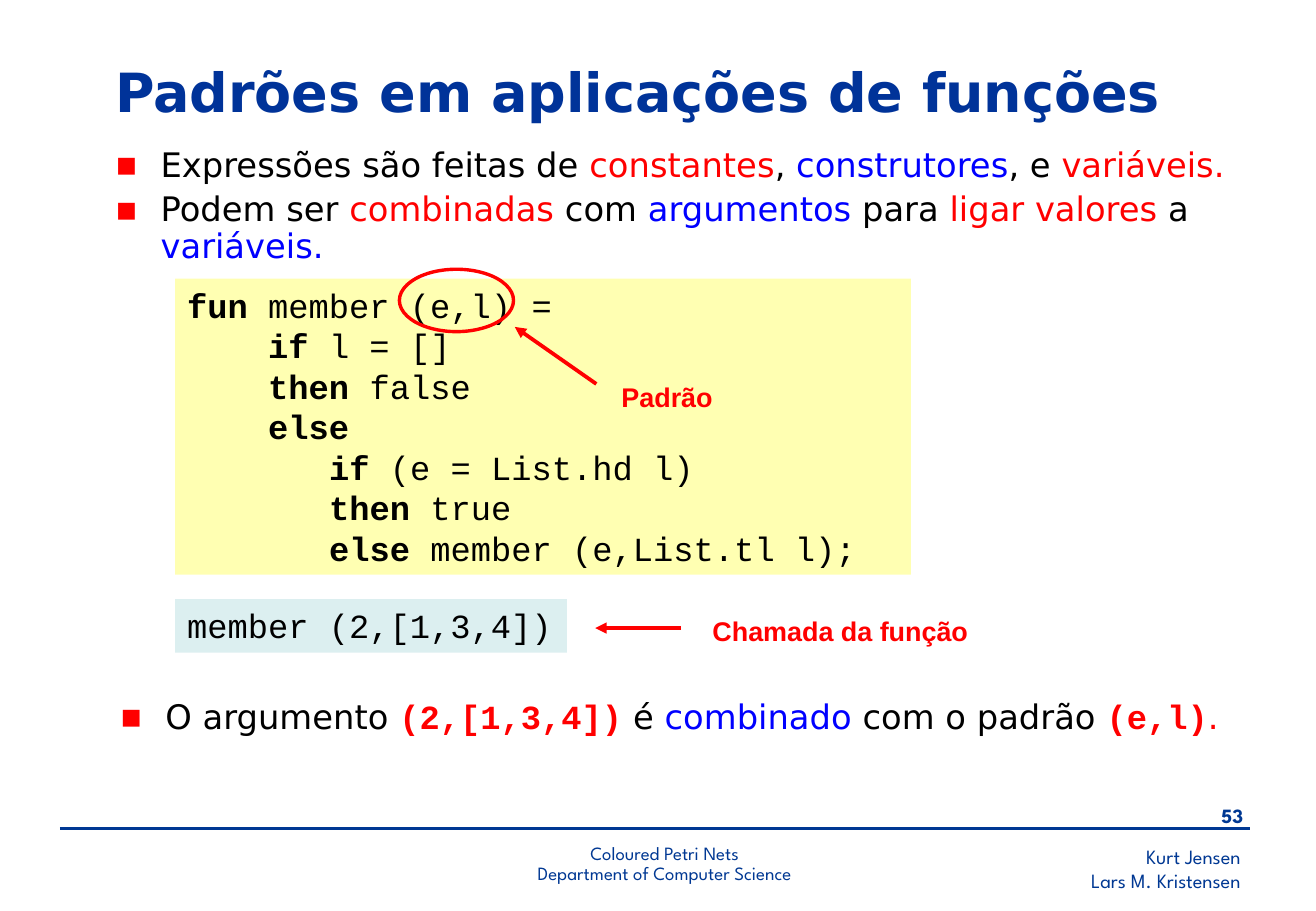
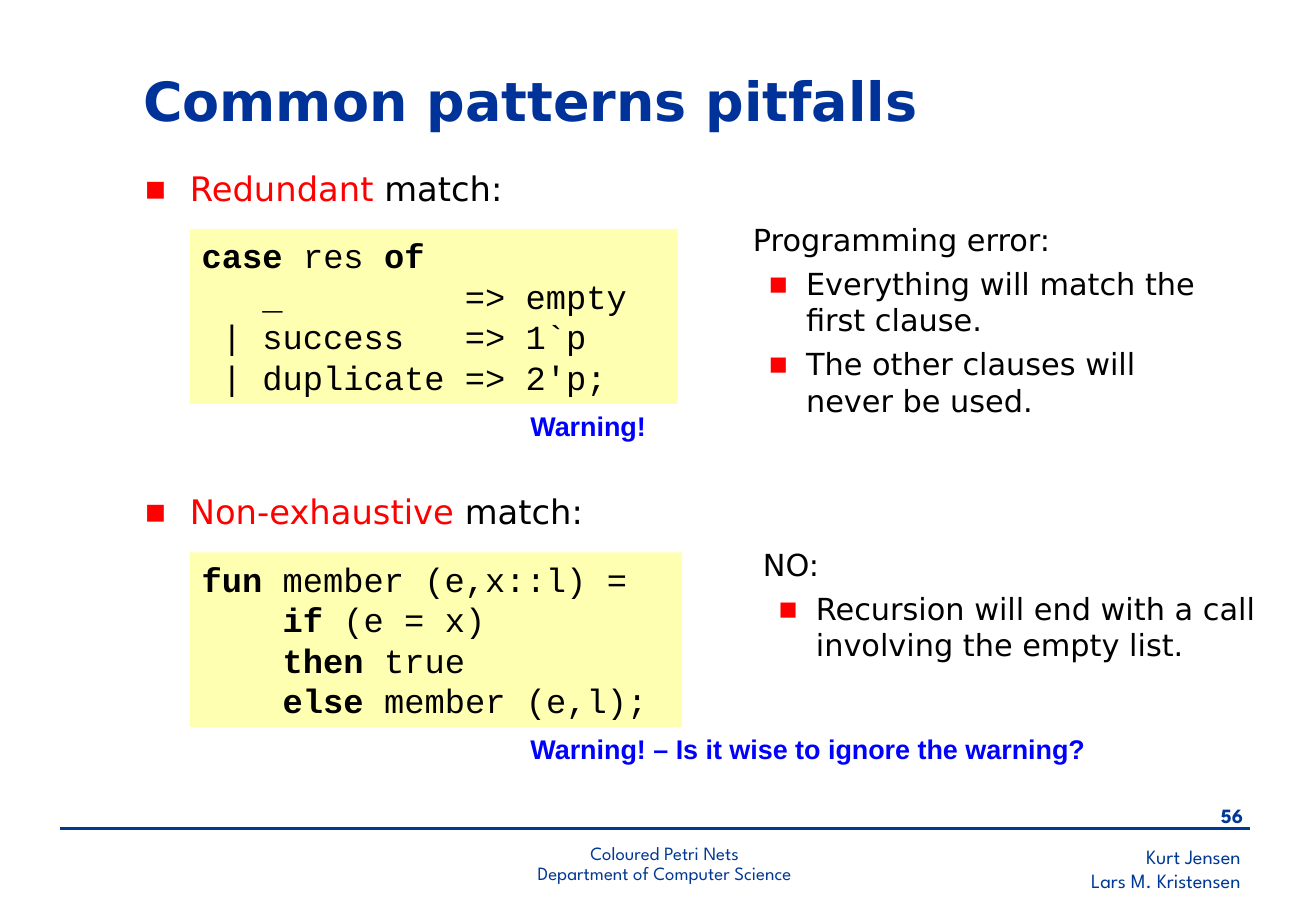
from dataclasses import dataclass

from lxml.etree import SubElement
from pptx import Presentation
from pptx.dml.color import RGBColor
from pptx.enum.shapes import MSO_CONNECTOR, MSO_SHAPE
from pptx.enum.text import MSO_ANCHOR, PP_ALIGN
from pptx.oxml.ns import qn
from pptx.util import Pt


@dataclass(frozen=True)
class Theme:
    # Colours
    title: str = "003399"
    footer: str = "003893"
    text: str = "000000"
    red: str = "FF0000"
    blue: str = "0000FF"
    code_fill: str = "FFFF66"
    call_fill: str = "BBE0E3"
    # Fonts
    sans: str = "DejaVu Sans"
    mono: str = "Courier New"
    label: str = "Arial"
    foot: str = "League Spartan"
    # Type sizes
    title_size: float = 32
    body_size: float = 20
    note_size: float = 18
    label_size: float = 16
    footer_size: float = 12
    centre_size: float = 11.1


THEME = Theme()


class SlideBuilder:
    """Holds the style and the page being drawn; lengths are in points."""

    def __init__(self, deck, theme):
        self.deck = deck
        self.theme = theme
        self.page = None

    def new_page(self, number):
        self.page = self.deck.slides.add_slide(self.deck.slide_layouts[6])
        theme = self.theme
        self.footer(500.4, 496.8, 242.6, ["Kurt Jensen", "Lars M. Kristensen"],
                    PP_ALIGN.RIGHT)
        self.footer(693.4, 472.3, 51, [number], PP_ALIGN.RIGHT, bold=True)
        self.line((35.5, 491), (741.6, 491), theme.footer, 1.5)
        self.footer(245.5, 496.8, 297.4,
                    ["Coloured Petri Nets", "Department of Computer Science"],
                    PP_ALIGN.CENTER, theme.centre_size, spacing=0.9)

    # Text
    def frame(self, left, top, width, height):
        box = self.page.shapes.add_textbox(Pt(left), Pt(top), Pt(width), Pt(height))
        box.text_frame.word_wrap = True
        return box.text_frame

    def style(self, span, font, size, colour, bold=False):
        span.font.name = font
        span.font.size = Pt(size)
        span.font.bold = bold
        span.font.color.rgb = RGBColor.from_string(colour)

    def next_para(self, frame, index):
        return frame.add_paragraph() if index else frame.paragraphs[0]

    def footer(self, left, top, width, lines, align, size=None, bold=False, spacing=None):
        frame = self.frame(left, top, width, 34)
        frame.text = "\n".join(lines)
        for para in frame.paragraphs:
            para.alignment = align
            para.line_spacing = spacing
            self.style(para.runs[0], self.theme.foot, size or self.theme.footer_size,
                       self.theme.footer, bold)

    def title(self, text, left, top, width):
        frame = self.frame(left, top, width, 49.7)
        frame.vertical_anchor = MSO_ANCHOR.MIDDLE
        frame.text = text
        self.style(frame.paragraphs[0].runs[0], self.theme.sans, self.theme.title_size,
                   self.theme.title, True)

    def label(self, text, left, top, width, colour):
        frame = self.frame(left, top, width, 26.6)
        frame.text = text
        self.style(frame.paragraphs[0].runs[0], self.theme.label, self.theme.label_size,
                   colour, True)

    def indent(self, para, margin, hanging):
        properties = para._p.get_or_add_pPr()
        properties.set("marL", str(Pt(margin)))
        properties.set("indent", str(-Pt(hanging)))
        return properties

    def bullet(self, para, margin, hanging):
        properties = self.indent(para, margin, hanging)
        colour = SubElement(properties, qn("a:buClr"))
        SubElement(colour, qn("a:srgbClr"), val=self.theme.red)
        SubElement(properties, qn("a:buFont"), typeface=self.theme.sans)
        SubElement(properties, qn("a:buChar"), char="▪")

    def bullets(self, left, top, width, height, items, spacing=None):
        """Each item is a list of (text, colour) or (text, colour, "code")."""
        theme = self.theme
        frame = self.frame(left, top, width, height)
        for index, item in enumerate(items):
            para = self.next_para(frame, index)
            self.bullet(para, 27, 27)
            para.line_spacing = spacing
            para.space_before = Pt(5 if index else 0)
            for text, colour, *kind in item:
                span = para.add_run()
                span.text = text
                self.style(span, theme.mono if kind else theme.sans, theme.body_size,
                           colour, bool(kind))

    def remark(self, left, top, width, height, heading, points):
        frame = self.frame(left, top, width, height)
        frame.text = "\n".join([heading, *points])
        for index, para in enumerate(frame.paragraphs):
            if index:
                para.level = 1
                self.bullet(para, 58.5, 22.5)
                para.space_before = Pt(4.5)
            else:
                self.indent(para, 27, 0)
            self.style(para.runs[0], self.theme.sans, self.theme.note_size, self.theme.text)

    # Shapes
    def code(self, left, top, width, height, lines, fill):
        """Words between asterisks are set in bold."""
        box = self.page.shapes.add_shape(MSO_SHAPE.RECTANGLE, Pt(left), Pt(top),
                                         Pt(width), Pt(height))
        box.shadow.inherit = False
        box.line.fill.background()
        box.fill.solid()
        box.fill.fore_color.rgb = RGBColor.from_string(fill)
        colour = box._element.spPr.find(qn("a:solidFill")).find(qn("a:srgbClr"))
        SubElement(colour, qn("a:alpha"), val="50000")
        frame = box.text_frame
        frame.word_wrap = True
        frame.vertical_anchor = MSO_ANCHOR.TOP
        for index, line in enumerate(lines):
            para = self.next_para(frame, index)
            para.alignment = PP_ALIGN.LEFT
            for part, text in enumerate(line.split("*")):
                if text:
                    span = para.add_run()
                    span.text = text
                    self.style(span, self.theme.mono, self.theme.body_size,
                               self.theme.text, part % 2 == 1)

    def ring(self, left, top, width, height):
        ring = self.page.shapes.add_shape(MSO_SHAPE.OVAL, Pt(left), Pt(top),
                                          Pt(width), Pt(height))
        ring.shadow.inherit = False
        ring.fill.background()
        ring.line.color.rgb = RGBColor.from_string(self.theme.red)
        ring.line.width = Pt(2)

    def line(self, start, end, colour, weight, arrow=False):
        line = self.page.shapes.add_connector(
            MSO_CONNECTOR.STRAIGHT, *(Pt(value) for value in (*start, *end)))
        line.line.color.rgb = RGBColor.from_string(colour)
        line.line.width = Pt(weight)
        if arrow:
            SubElement(line.line._get_or_add_ln(), qn("a:tailEnd"), type="triangle")
        SubElement(line._element.spPr, qn("a:effectLst"))


def patterns_page(builder):
    text, red, blue = THEME.text, THEME.red, THEME.blue
    builder.new_page("53")
    builder.title("Padrões em aplicações de funções", 61.2, 28.8, 649.4)
    builder.bullets(61.2, 84.2, 715.7, 59.8, [
        [("Expressões são feitas de ", text), ("constantes", red), (", ", text),
         ("construtores", blue), (", e ", text), ("variáveis.", red)],
        [("Podem ser ", text), ("combinadas ", red), ("com ", text),
         ("argumentos", blue), (" para ", text), ("ligar valores", red),
         (" a ", text), ("variáveis.", blue)],
    ], spacing=0.9)

    # Function and its pattern
    builder.code(103.9, 165.2, 436.4, 175.4, [
        "*fun* member (e,l) =",
        "    *if* l = []",
        "    *then* false",
        "    *else*",
        "       *if* (e = List.hd l)",
        "       *then* true",
        "       *else* member (e,List.tl l);",
    ], THEME.code_fill)
    builder.ring(236.9, 159.6, 67.7, 37)
    builder.label("Padrão", 361.5, 221.8, 82, red)
    builder.line((353.7, 227.6), (305.3, 193.8), red, 2.25, arrow=True)

    # Function call
    builder.code(103.9, 355.2, 232.4, 31.7, ["member (2,[1,3,4])"], THEME.call_fill)
    builder.line((404, 372.3), (353, 372.3), red, 2.25, arrow=True)
    builder.label("Chamada da função", 415.5, 360.9, 196, red)
    builder.bullets(64, 409, 702.7, 39.6, [
        [("O argumento ", text), ("(2,[1,3,4])", red, "code"), (" é ", text),
         ("combinado", blue), (" com o padrão ", text), ("(e,l)", red, "code"),
         (".", red)],
    ])


def pitfalls_page(builder):
    text, red, blue = THEME.text, THEME.red, THEME.blue
    builder.new_page("56")
    builder.title("Common patterns pitfalls", 77.8, 34.6, 515.5)

    # Redundant match
    builder.bullets(78.5, 95.8, 465, 33.8, [[("Redundant ", red), ("match:", text)]])
    builder.code(112.5, 135.7, 289.4, 103.7, [
        "*case* res *of*",
        "   _         => empty",
        " | success   => 1`p",
        " | duplicate => 2'p;",
    ], THEME.code_fill)
    builder.label("Warning!", 307.5, 239, 93.6, blue)
    builder.remark(412.5, 127.3, 311.8, 147.6, "Programming error:", [
        "Everything will match the first clause.",
        "The other clauses will never be used.",
    ])

    # Non-exhaustive match
    builder.bullets(78.5, 287.6, 465, 33.8, [[("Non-exhaustive", red), (" match:", text)]])
    builder.code(112.5, 327.4, 291.9, 103.7, [
        "*fun* member (e,x::l) =",
        "    *if* (e = x)",
        "    *then* true",
        "    *else* member (e,l);",
    ], THEME.code_fill)
    builder.label("Warning! – Is it wise to ignore the warning?", 307.5, 430.7, 365.8, blue)
    builder.remark(418.3, 320.2, 334.8, 110.9, "NO:", [
        "Recursion will end with a call involving the empty list.",
    ])


def main():
    deck = Presentation()
    deck.slide_width, deck.slide_height = Pt(780.48), Pt(540)
    builder = SlideBuilder(deck, THEME)
    patterns_page(builder)
    pitfalls_page(builder)
    deck.save("out.pptx")


if __name__ == "__main__":
    main()
